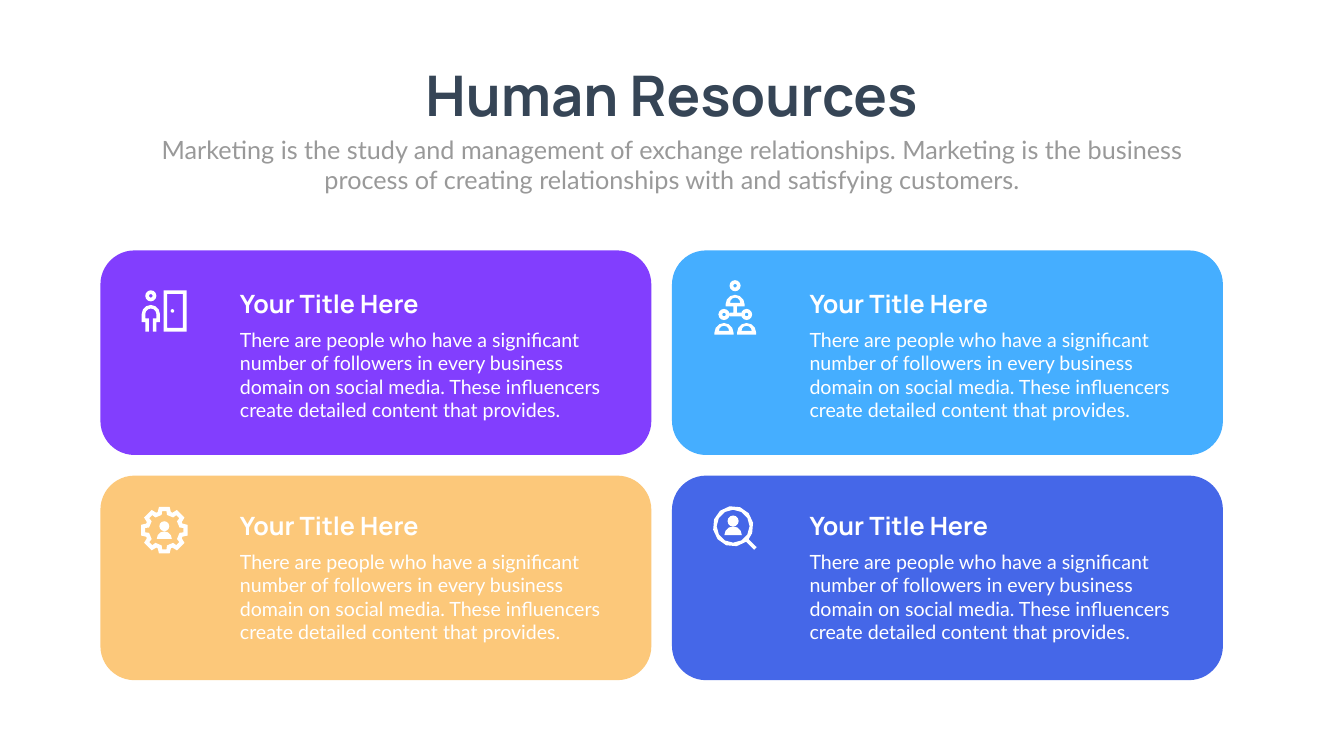
import math

from pptx import Presentation
from pptx import util as u
from pptx.dml.color import RGBColor
from pptx.enum import shapes, text

WHITE = "FFFFFF"
HEADING = "Your Title Here"
BODY = ("There are people who have a significant number of followers in every "
        "business domain on social media. These influencers create detailed "
        "content that provides.")
SUBTITLE = ("Marketing is the study and management of exchange relationships. "
            "Marketing is the business process of creating relationships with "
            "and satisfying customers.")


def rgb(hex_colour):
    return RGBColor.from_string(hex_colour)


def paint(shape, colour):
    shape.fill.solid()
    shape.fill.fore_color.rgb = rgb(colour)
    shape.line.fill.background()
    shape.shadow.inherit = False


def write(box, words, size, font, colour, bold=False, align=text.PP_ALIGN.LEFT,
          wrap=True, anchor=text.MSO_ANCHOR.TOP):
    frame = box.text_frame
    frame.text = words
    frame.word_wrap = wrap
    frame.auto_size = text.MSO_AUTO_SIZE.NONE
    frame.vertical_anchor = anchor
    paragraph = frame.paragraphs[0]
    paragraph.alignment = align
    paragraph.font.size = u.Pt(size)
    paragraph.font.name = font
    paragraph.font.bold = bold
    paragraph.font.color.rgb = rgb(colour)


def add_card(slide, left, top, colour):
    card = slide.shapes.add_shape(shapes.MSO_SHAPE.ROUNDED_RECTANGLE,
                                  u.Cm(left), u.Cm(top), u.Cm(27.76), u.Cm(10.31))
    paint(card, colour)


def add_card_text(slide, left, top):
    group = slide.shapes.add_group_shape().shapes
    body = group.add_textbox(u.Cm(left), u.Cm(top + 1.98), u.Cm(19.28), u.Cm(5.05))
    write(body, BODY, 28, "Lato", WHITE)
    heading = group.add_textbox(u.Cm(left), u.Cm(top), u.Cm(19.28), u.Cm(1.8))
    write(heading, HEADING, 36, "Manrope", WHITE, bold=True, anchor=text.MSO_ANCHOR.MIDDLE)


def add_icon(slide, left, top, parts):
    """Draw each part, a list of closed contours in cm, as one white outline."""
    group = slide.shapes.add_group_shape().shapes
    for contours in parts:
        placed = [[(u.Cm(left + x), u.Cm(top + y)) for x, y in contour]
                  for contour in contours]
        builder = group.build_freeform(*placed[0][0])
        builder.add_line_segments(placed[0][1:])
        for hole in placed[1:]:
            builder.move_to(*hole[0])
            builder.add_line_segments(hole[1:])
        paint(builder.convert_to_shape(), WHITE)


def arc(x, y, radius, start, end):
    """Points every 30 degrees from start to end, clockwise from the right."""
    steps = abs(end - start) // 30
    angles = [math.radians(start + (end - start) * i / steps) for i in range(steps + 1)]
    return [(x + radius * math.cos(a), y + radius * math.sin(a)) for a in angles]


def circle(x, y, radius):
    return arc(x, y, radius, 0, 330)


def rectangle(left, top, right, bottom):
    return [(left, top), (right, top), (right, bottom), (left, bottom)]


def ring(x, y, outer, inner):
    return [circle(x, y, outer), circle(x, y, inner)]


def small_head(x, y):
    return ring(x, y, 0.28, 0.09)


def bust(x, base, radius):
    return [arc(x, base, radius, 180, 360)]


def hollow_bust(x, base):
    outer = arc(x, base - 0.1, 0.48, 180, 360) + [(x + 0.48, base), (x - 0.48, base)]
    return [outer, arc(x, base - 0.18, 0.26, 180, 360)]


def cog(centre, root, tip, root_angle, tip_angle):
    """Contour with eight teeth; the angles are half widths in degrees."""
    points = []
    for tooth in range(8):
        for offset, radius in ((-root_angle, root), (-tip_angle, tip),
                               (tip_angle, tip), (root_angle, root)):
            angle = math.radians(45 * tooth + offset)
            points.append((centre + radius * math.cos(angle),
                           centre + radius * math.sin(angle)))
    return points


def door_icon():
    right_leg = [(0.92, 1.6), (0.74, 1.6), (0.74, 2.08), (0.56, 2.08), (0.56, 1.42), (0.74, 1.42)]
    left_leg = [(0.92 - x, y) for x, y in reversed(right_leg)]
    person = (arc(0.46, 1.2, 0.46, 180, 360) + right_leg
              + arc(0.46, 1.2, 0.28, 360, 180) + left_leg)
    door = [rectangle(1.1, 0, 2.26, 2.08), rectangle(1.28, 0.18, 2.08, 1.9)]
    return [small_head(0.46, 0.28), [person], door, [circle(1.55, 1.04, 0.09)]]


def team_icon():
    branch = [(0.95, 1.32), (1.13, 1.32), (1.13, 1.64), (1.34, 1.64),
              (1.34, 1.82), (0.76, 1.82), (0.76, 1.64), (0.95, 1.64)]
    lead = hollow_bust(1.04, 1.32) + [branch] + small_head(0.48, 1.73) + small_head(1.62, 1.73)
    return [hollow_bust(0.48, 2.74), lead, hollow_bust(1.62, 2.74), small_head(1.04, 0.28)]


def search_icon():
    # lens and handle share one outline
    handle_start, handle_end = 50, 40
    rim = arc(1.02, 1.02, 1.02, handle_start, handle_start + 360 - 30)
    rim += [(1.02 + 1.02 * math.cos(math.radians(handle_end)),
             1.02 + 1.02 * math.sin(math.radians(handle_end))),
            (2.21, 2.08), (2.08, 2.21)]
    return [[circle(1.02, 0.76, 0.28)], bust(1.02, 1.47, 0.44),
            [rim, circle(1.02, 1.02, 0.83)]]


def gear_icon():
    gear = [cog(1.19, 0.97, 1.2, 20, 13), cog(1.19, 0.78, 0.97, 10, 6.5)]
    return [gear, [circle(1.19, 0.99, 0.25)], bust(1.19, 1.63, 0.38)]


def main():
    deck = Presentation()
    deck.slide_width, deck.slide_height = u.Cm(67.72), u.Cm(38.1)
    slide = deck.slides.add_slide(deck.slide_layouts[5])

    title = slide.shapes.title
    title.left, title.top = u.Cm(20.23), u.Cm(2.9)
    title.width, title.height = u.Cm(27.23), u.Cm(3.68)
    write(title, "Human Resources", 80, "Manrope", "364556", bold=True,
          align=text.PP_ALIGN.CENTER, wrap=False, anchor=text.MSO_ANCHOR.MIDDLE)
    subtitle = slide.shapes.add_textbox(u.Cm(7.42), u.Cm(6.63), u.Cm(52.88), u.Cm(3.33))
    write(subtitle, SUBTITLE, 36, "Lato", "999999", align=text.PP_ALIGN.CENTER)

    cells = [(row, column) for row in range(2) for column in range(2)]
    card_colours = ["823EFE", "45AEFF", "FCC87A", "4567E8"]
    for (row, column), colour in zip(cells, card_colours):
        add_card(slide, 5.06 + 28.8 * column, 12.62 + 11.35 * row, colour)
    add_icon(slide, 36, 14.12, team_icon())
    add_icon(slide, 7.14, 14.63, door_icon())
    add_icon(slide, 35.92, 25.5, search_icon())
    add_icon(slide, 7.09, 25.53, gear_icon())
    for row, column in cells:
        add_card_text(slide, 11.84 + 28.7 * column, 14.4 + 11.2 * row)
    deck.save("out.pptx")


if __name__ == "__main__":
    main()
